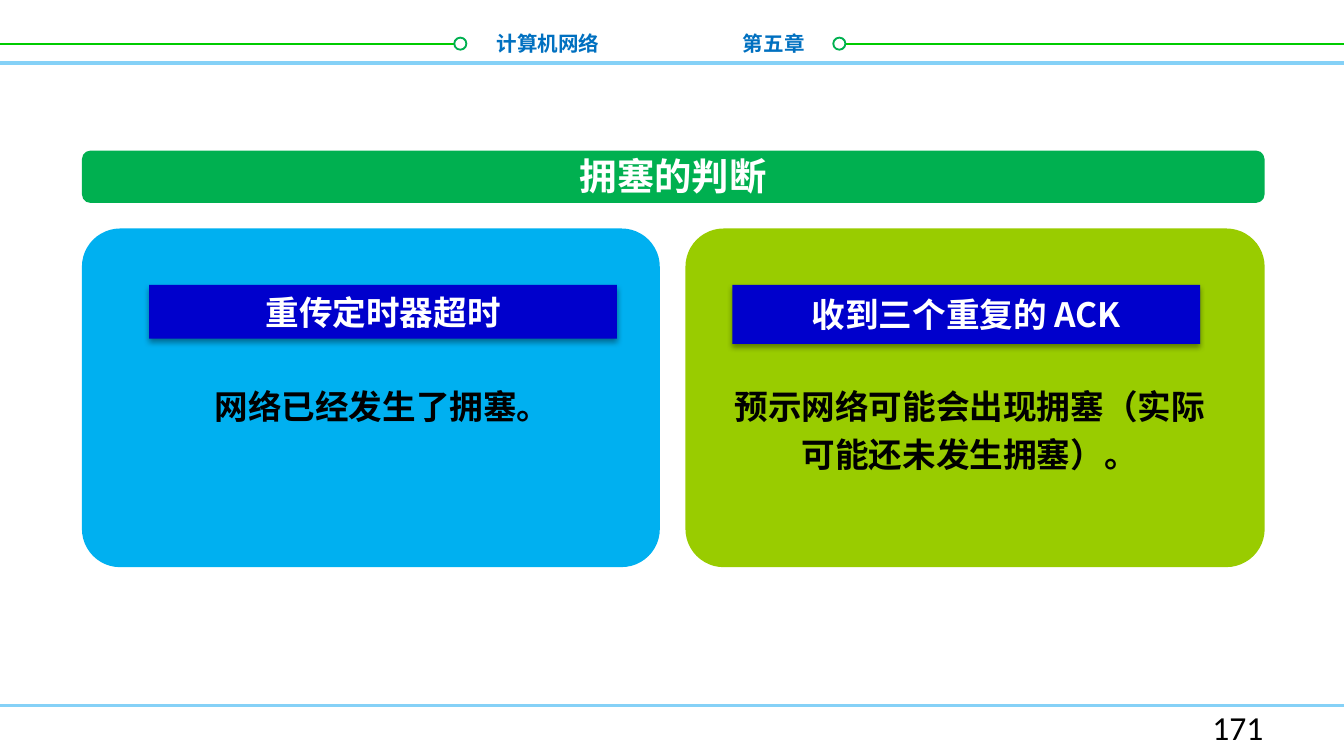
from lxml import etree
from pptx import Presentation
from pptx import util as u
from pptx.dml.color import RGBColor
from pptx.enum import shapes, text
from pptx.oxml import parse_xml
from pptx.oxml.ns import nsdecls, qn

COLUMNS, ROWS = 100, 56.25
WIDTH = u.Inches(10)
HEIGHT = u.Emu(WIDTH * 9 // 16)
CJK = "Noto Sans CJK SC"
GREEN, SKY, BLUE = "00B050", "85D1F7", "0000CC"
CENTER, RIGHT = text.PP_ALIGN.CENTER, text.PP_ALIGN.RIGHT


def color(value):
    return RGBColor.from_string(value)


def write(shape, words, size=18, ink="000000", font=CJK, bold=True, align=None,
          spacing=None, wrap=True, anchor=text.MSO_ANCHOR.TOP):
    frame = shape.text_frame
    frame.word_wrap = wrap
    frame.vertical_anchor = anchor
    paragraph = frame.paragraphs[0]
    paragraph.alignment = align
    if spacing:
        paragraph.line_spacing = u.Pt(spacing)
    run = paragraph.add_run()
    run.text = words
    run.font.size = u.Pt(size)
    run.font.bold = bold
    run.font.color.rgb = color(ink)
    run.font.name = font
    etree.SubElement(run.font._element, qn("a:ea"), typeface=font)


class Deck:
    def __init__(self):
        self.presentation = Presentation()
        self.presentation.slide_width = WIDTH
        self.presentation.slide_height = HEIGHT
        self.slide = self.presentation.slides.add_slide(self.presentation.slide_layouts[6])

    def place(self, left, top, width, height):
        column, row = WIDTH / COLUMNS, HEIGHT / ROWS
        return [u.Emu(round(length)) for length in
                (left * column, top * row, width * column, height * row)]

    def rule(self, start, end, row, stroke, weight):
        x1, y, x2, _ = self.place(start, row, end, 0)
        line = self.slide.shapes.add_connector(shapes.MSO_CONNECTOR.STRAIGHT, x1, y, x2, y)
        line.line.color.rgb = color(stroke)
        line.line.width = u.Pt(weight)
        etree.SubElement(line._element.spPr, qn("a:effectLst"))

    def block(self, kind, at, fill, stroke=None, radius=None):
        shape = self.slide.shapes.add_shape(kind, *self.place(*at))
        shape.shadow.inherit = False
        shape.fill.solid()
        shape.fill.fore_color.rgb = color(fill)
        if stroke:
            shape.line.color.rgb = color(stroke)
            shape.line.width = u.Pt(1)
        else:
            shape.line.fill.background()
        if radius:
            shape.adjustments[0] = radius
        return shape

    def panel(self, at, fill, radius):
        return self.block(shapes.MSO_SHAPE.ROUNDED_RECTANGLE, at, fill, radius=radius)

    def ring(self, column):
        return self.block(shapes.MSO_SHAPE.OVAL, (column, 2.8, 0.9, 0.9), "FFFFFF", GREEN)

    def heading(self, at, words, **style):
        shape = self.block(shapes.MSO_SHAPE.RECTANGLE, at, BLUE)
        shape._element.spPr.find(qn("a:effectLst")).append(parse_xml(
            f'<a:outerShdw {nsdecls("a")} blurRad="{u.Pt(3.1)}" dist="{u.Pt(1.6)}" '
            'dir="5400000" rotWithShape="0"><a:srgbClr val="000000">'
            '<a:alpha val="38000"/></a:srgbClr></a:outerShdw>'))
        write(shape, words, ink="FFFFFF", align=CENTER, **style)

    def label(self, at, words, **style):
        write(self.slide.shapes.add_textbox(*self.place(*at)), words, **style)


def main():
    deck = Deck()
    deck.rule(0, 100, 4.7, SKY, 2)
    deck.rule(0, 34, 3.3, "00CC00", 1)
    deck.rule(62, 100, 3.3, "00CC00", 1)
    deck.rule(0, 100, 52.5, SKY, 1.5)
    deck.ring(33.8)
    deck.ring(62)
    deck.label((54.3, 1.8, 11.6, 2.9), "第五章", size=11, ink="0070C0")
    deck.label((35.9, 1.8, 9.7, 2.9), "计算机网络", size=11, ink="0070C0",
               align=RIGHT, wrap=False)

    deck.panel((6.1, 11.2, 88, 3.9), GREEN, 0.167)
    deck.label((42.1, 10.9, 16, 4.4), "拥塞的判断", size=20, ink="FFFFFF",
               align=CENTER, wrap=False)

    deck.panel((6.1, 17, 43, 25.2), "00B0F0", 0.113)
    deck.panel((51, 17, 43.1, 25.2), "99CC00", 0.113)
    deck.heading((11.1, 21.2, 34.8, 4), "重传定时器超时")
    deck.heading((54.5, 21.2, 34.8, 4.4), "收到三个重复的 ACK", anchor=text.MSO_ANCHOR.MIDDLE)
    deck.label((9.9, 27.6, 37.1, 4.3), "网络已经发生了拥塞。", align=CENTER, spacing=26)
    deck.label((53.6, 27.6, 37.1, 8.3), "预示网络可能会出现拥塞（实际可能还未发生拥塞）。",
               align=CENTER, spacing=26)

    deck.label((71.7, 52.1, 23.3, 3), "171", font="Calibri", bold=False, align=RIGHT)
    deck.presentation.save("out.pptx")


if __name__ == "__main__":
    main()
